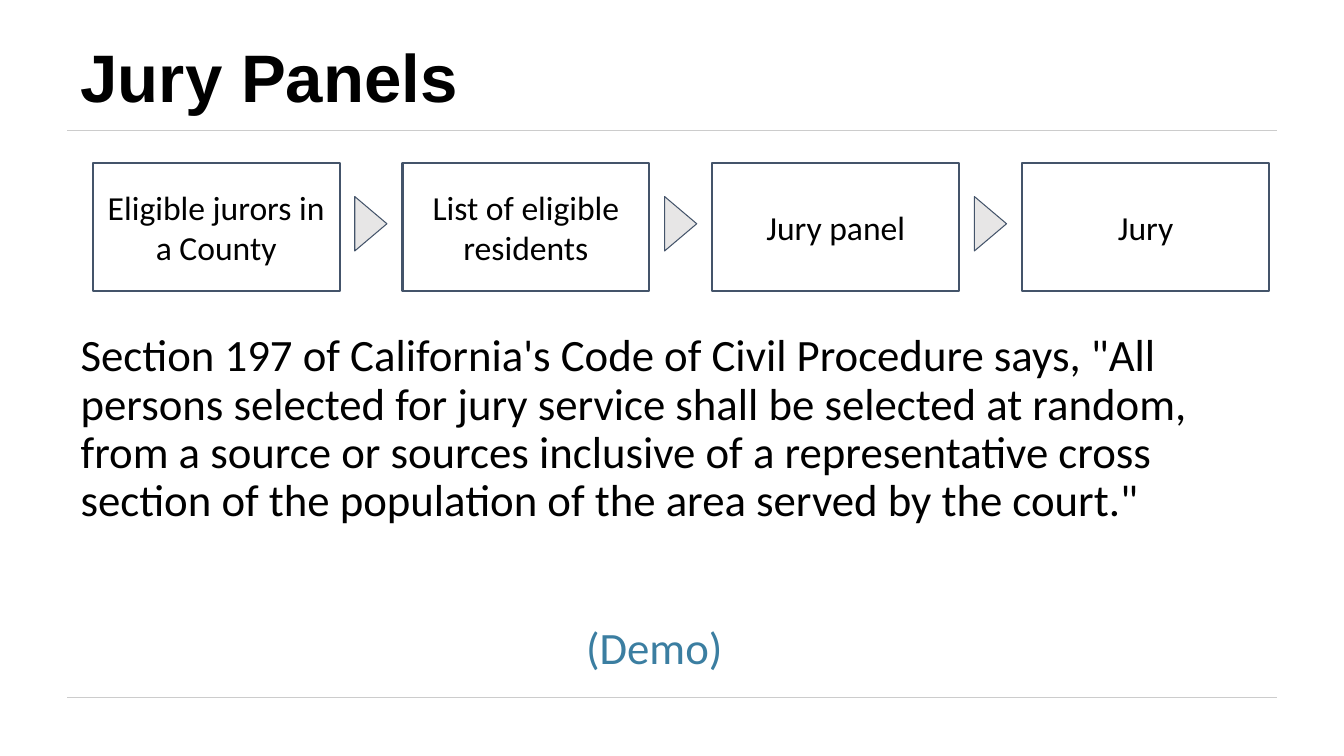
from pptx import Presentation
from pptx import util as u
from pptx.dml.color import RGBColor
from pptx.enum import shapes, text
from pptx.oxml.ns import qn
from lxml import etree

BLACK = RGBColor(0x00, 0x00, 0x00)
RULE_GREY = RGBColor(0xCC, 0xCC, 0xCC)
SLATE = RGBColor(0x44, 0x54, 0x6A)
PALE_GREY = RGBColor(0xE7, 0xE6, 0xE6)
DEMO_BLUE = RGBColor(0x3B, 0x7E, 0xA1)

STAGES = ["Eligible jurors in a County", "List of eligible residents",
          "Jury panel", "Jury"]
STATUTE = ("Section 197 of California's Code of Civil Procedure says, "
           "\"All persons selected for jury service shall be selected at "
           "random, from a source or sources inclusive of a representative "
           "cross section of the population of the area served by the court.\"")

MARGIN = 48
STAGE_LEFT, STAGE_TOP, STAGE_STEP = 66.2, 116.6, 221.3
STAGE_WIDTH, STAGE_HEIGHT = 176.4, 91.4
ARROW_OFFSET, ARROW_TOP = 187.2, 140.4
ARROW_WIDTH, ARROW_HEIGHT = 23, 38.9


class SlideBuilder:
    """Holds the shared style and the slide being built."""

    body_font = "Calibri"
    inset = u.Pt(9.6)

    def __init__(self, slide):
        """Remember the slide that receives the elements."""
        self.slide = slide

    def add_words(self, shape, words, size, color=BLACK, font=body_font,
                  bold=False, anchor=text.MSO_ANCHOR.TOP,
                  align=text.PP_ALIGN.LEFT, spacing=1.0, before=0):
        """Put one styled run of text in a shape."""
        frame = shape.text_frame
        frame.word_wrap = True
        frame.vertical_anchor = anchor
        frame.margin_left = frame.margin_right = self.inset
        frame.margin_top = frame.margin_bottom = self.inset
        paragraph = frame.paragraphs[0]
        paragraph.alignment = align
        paragraph.line_spacing = spacing
        paragraph.space_before = u.Pt(before)
        run = paragraph.add_run()
        run.text = words
        run.font.name = font
        run.font.size = u.Pt(size)
        run.font.bold = bold
        run.font.color.rgb = color

    def label(self, words, left, top, width, height, size, **style):
        """Add a text box."""
        box = self.slide.shapes.add_textbox(
            u.Pt(left), u.Pt(top), u.Pt(width), u.Pt(height))
        self.add_words(box, words, size, **style)

    def rule(self, left, right, y):
        """Add a thin horizontal rule."""
        line = self.slide.shapes.add_connector(
            shapes.MSO_CONNECTOR.STRAIGHT,
            u.Pt(left), u.Pt(y), u.Pt(right), u.Pt(y))
        line.line.color.rgb = RULE_GREY
        line.line.width = u.Pt(0.75)
        etree.SubElement(line._element.spPr, qn("a:effectLst"))

    def outlined(self, kind, left, top, width, height, weight):
        """Add a preset shape with a slate outline and no shadow."""
        shape = self.slide.shapes.add_shape(
            kind, u.Pt(left), u.Pt(top), u.Pt(width), u.Pt(height))
        shape.shadow.inherit = False
        shape.line.color.rgb = SLATE
        shape.line.width = u.Pt(weight)
        return shape

    def stage(self, words, left):
        """Add one box of the selection process."""
        box = self.outlined(shapes.MSO_SHAPE.RECTANGLE, left, STAGE_TOP,
                            STAGE_WIDTH, STAGE_HEIGHT, 1.5)
        box.fill.background()
        self.add_words(box, words, 24, anchor=text.MSO_ANCHOR.MIDDLE,
                       align=text.PP_ALIGN.CENTER)

    def arrow(self, left):
        """Add the arrow leading to the next stage."""
        arrow = self.outlined(shapes.MSO_SHAPE.RIGHT_ARROW, left, ARROW_TOP,
                              ARROW_WIDTH, ARROW_HEIGHT, 0.75)
        arrow.adjustments[0] = 0.5
        arrow.adjustments[1] = 1.16
        arrow.fill.solid()
        arrow.fill.fore_color.rgb = PALE_GREY


def main():
    """Build the jury panels slide and save it."""
    deck = Presentation()
    deck.slide_width, deck.slide_height = u.Pt(960), u.Pt(540)
    jury = SlideBuilder(deck.slides.add_slide(deck.slide_layouts[6]))

    for y in (92.9, 498.2):
        jury.rule(MARGIN, 960 - MARGIN, y)
    jury.label("Jury Panels", MARGIN, 21.6, 704, 71.3, 48, font="Arial",
               bold=True, anchor=text.MSO_ANCHOR.BOTTOM, spacing=0.9)
    jury.label(STATUTE, MARGIN, 228.2, 864, 184.3, 32, spacing=0.9, before=6.4)

    for index, words in enumerate(STAGES):
        left = STAGE_LEFT + index * STAGE_STEP
        jury.stage(words, left)
        if index < len(STAGES) - 1:
            jury.arrow(left + ARROW_OFFSET)

    jury.label("(Demo)", 409, 433.4, 141.8, 59.8, 32, color=DEMO_BLUE)
    deck.save("out.pptx")


main()
